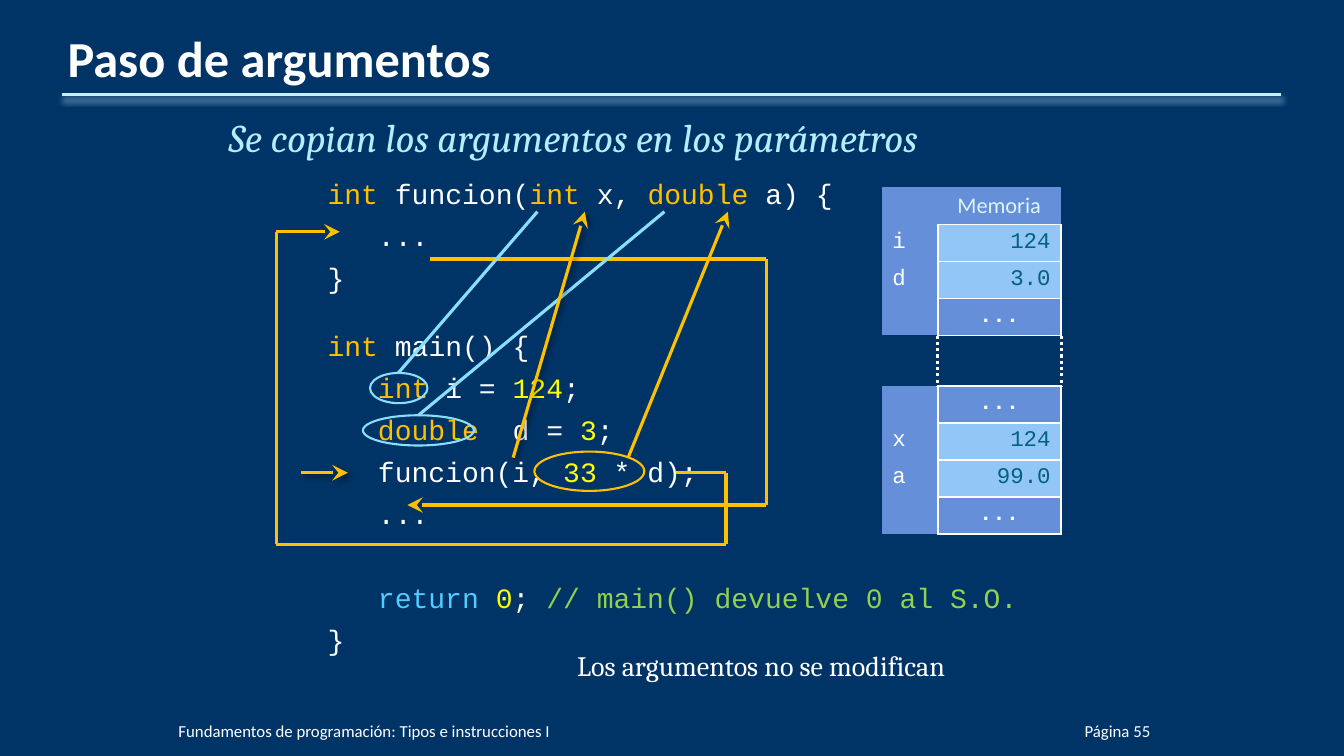
"""Builds the slide on how arguments are copied into parameters."""
from lxml import etree
from pptx import Presentation
from pptx.dml.color import RGBColor
from pptx.enum import dml, shapes, text
from pptx.oxml import ns
from pptx.util import Inches, Pt

NAVY = RGBColor(0x00, 0x33, 0x66)
WHITE = RGBColor(0xFF, 0xFF, 0xFF)
PALE = RGBColor(0xB5, 0xED, 0xFD)
RULE = RGBColor(0xC4, 0xEF, 0xFF)
GOLD = RGBColor(0xFF, 0xC0, 0x00)
YELLOW = RGBColor(0xFF, 0xFF, 0x00)
SKY = RGBColor(0x8A, 0xDF, 0xFF)
CYAN = RGBColor(0x4F, 0xCE, 0xFF)
GREEN = RGBColor(0x92, 0xD0, 0x50)
BLUE = RGBColor(0x65, 0x8F, 0xD8)
LIGHT = RGBColor(0x91, 0xC6, 0xF7)
TEAL = RGBColor(0x04, 0x61, 0x7B)
MIST = RGBColor(0xDB, 0xF5, 0xF9)
BLACK = RGBColor(0, 0, 0)

MONO, SANS, SERIF = "Courier New", "Calibri", "Cambria"
OUTER, INNER = 0.98, 1.48
CODE = [
    (OUTER, 6, [("int ", GOLD), ("funcion(", WHITE), ("int", GOLD), (" x, ", WHITE),
                ("double", GOLD), (" a) {", WHITE)]),
    (INNER, 6, [("...", WHITE)]),
    (OUTER, 24.4, [("}", WHITE)]),
    (OUTER, 6, [("int", GOLD), (" main() {", WHITE)]),
    (INNER, 6, [("int", GOLD), (" i = ", WHITE), ("124", YELLOW), (";", WHITE)]),
    (INNER, 6, [("double ", GOLD), (" d = ", WHITE), ("3", YELLOW), (";", WHITE)]),
    (INNER, 6, [("funcion(i, ", WHITE), ("33", YELLOW), (" * d);", WHITE)]),
    (INNER, 36.2, [("...", WHITE)]),
    (INNER, 6, [("return ", CYAN), ("0", YELLOW), ("; ", WHITE),
                ("// main() devuelve 0 al S.O.", GREEN)]),
    (OUTER, 6, [("}", WHITE)]),
]
MEMORY = [
    (1.86, [("", "Memoria"), ("i", "124"), ("d", "3.0"), ("", "...")]),
    (3.83, [("", "..."), ("x", "124"), ("a", "99.0"), ("", "...")]),
]
TABLE_LEFT, COLUMNS, ROW = 8.75, (0.55, 1.22), 0.25
ELLIPSES = [
    (5.3, 4.48, 1.09, 0.39, GOLD),
    (3.67, 3.7, 0.57, 0.3, SKY),
    (3.6, 4.12, 1.1, 0.3, SKY),
]
CALL_ROUTE = [(6.7, 4.69), (7.2, 4.69), (7.2, 5.4), (2.74, 5.4), (2.74, 2.3), (3.37, 2.3)]
RETURN_ROUTE = [(4.27, 2.57), (7.6, 2.57), (7.6, 5.01), (4.04, 5.01)]
TYPE_LINKS = [[(3.95, 3.7), (5.33, 2.1)], [(4.15, 4.12), (6.59, 2.1)]]
VALUE_ARROW = [(6.23, 4.54), (7.22, 2.1)]
SHADED_ARROWS = [[(2.99, 4.69), (3.45, 4.69)], [(5.09, 4.54), (5.8, 2.1)]]
ARROW_SHADOW = (BLACK, 40, 4, 3, 45)
RULE_SHADOW = (RULE, 48, 4.5, 3, 90)

deck = Presentation()
deck.slide_width, deck.slide_height = Inches(13.33), Inches(7.5)
slide = deck.slides.add_slide(deck.slide_layouts[6])
slide.background.fill.solid()
slide.background.fill.fore_color.rgb = NAVY


def child(parent, tag, **values):
    """Adds a DrawingML element with the given attributes."""
    element = etree.SubElement(parent, ns.qn("a:" + tag))
    for name, value in values.items():
        element.set(name, str(value))
    return element


def write(para, words, color, **font):
    """Adds a run in the given colour and font values."""
    span = para.add_run()
    span.text = words
    for name, value in font.items():
        setattr(span.font, name, value)
    span.font.color.rgb = color


def add_box(left, top, width, height, **frame):
    """Adds a text box and returns its frame."""
    box = slide.shapes.add_textbox(*map(Inches, (left, top, width, height)))
    for name, value in {"word_wrap": True, **frame}.items():
        setattr(box.text_frame, name, value)
    return box.text_frame


def add_line(start, end, color, head=False, shadow=None, dash=None):
    """Adds a straight line, with an arrowhead or a shadow if asked."""
    line = slide.shapes.add_connector(shapes.MSO_CONNECTOR.STRAIGHT,
                                      *map(Inches, (*start, *end)))
    line.line.color.rgb, line.line.width = color, Pt(2.25)
    if dash:
        line.line.dash_style = dash
    properties = line._element.spPr
    if head:
        child(properties.find(ns.qn("a:ln")), "tailEnd", type="stealth", w="lg", len="lg")
    effects = child(properties, "effectLst")
    if shadow:
        tint, alpha, blur, distance, angle = shadow
        outer = child(effects, "outerShdw", blurRad=Pt(blur), dist=Pt(distance),
                      dir=angle * 60000, rotWithShape=0)
        child(child(outer, "srgbClr", val=tint), "alpha", val=alpha * 1000)


def add_route(points, color, head=False, shadow=None):
    """Joins the points in order; only the last line has the arrowhead."""
    for index, (start, end) in enumerate(zip(points, points[1:])):
        add_line(start, end, color, head and index == len(points) - 2, shadow)


def fill_cell(cell, words, color, fill, align, bordered, **font):
    """Writes one memory cell."""
    cell.fill.solid()
    cell.fill.fore_color.rgb = fill
    cell.margin_top = cell.margin_bottom = Inches(0.05 if words else 0)
    para = cell.text_frame.paragraphs[0]
    para.alignment = align
    if words:
        write(para, words, color, size=Pt(16), **font)
    properties = cell._tc.get_or_add_tcPr()
    for index, side in enumerate(("lnL", "lnR", "lnT", "lnB")):
        edge = etree.Element(ns.qn("a:" + side), w=str(Pt(1.5)))
        if bordered:
            child(child(edge, "solidFill"), "srgbClr", val=WHITE)
        else:
            child(edge, "noFill")
        properties.insert(index, edge)


def add_memory(top, rows):
    """Adds a memory table of names and values."""
    table = slide.shapes.add_table(len(rows), 2, *map(
        Inches, (TABLE_LEFT, top, sum(COLUMNS), ROW * len(rows)))).table
    table.first_row = table.horz_banding = False
    for column, width in zip(table.columns, COLUMNS):
        column.width = Inches(width)
    for index, (name, value) in enumerate(rows):
        fill_cell(table.cell(index, 0), name, WHITE, BLUE, text.PP_ALIGN.LEFT, False, name=MONO)
        cell = table.cell(index, 1)
        if value == "Memoria":
            fill_cell(cell, value, MIST, BLUE, text.PP_ALIGN.CENTER, False, name=SANS)
        elif value == "...":
            fill_cell(cell, value, WHITE, BLUE, text.PP_ALIGN.CENTER, True, name=MONO, bold=True)
        else:
            fill_cell(cell, value, TEAL, LIGHT, text.PP_ALIGN.RIGHT, True, name=MONO)


add_line((0.62, 0.94), (12.71, 0.94), RULE, shadow=RULE_SHADOW)
title = add_box(0.67, 0.37, 12, 0.55, margin_left=0, margin_right=0,
                vertical_anchor=text.MSO_ANCHOR.BOTTOM)
write(title.paragraphs[0], "Paso de argumentos", WHITE, size=Pt(36), name=SANS, bold=True)

body = add_box(2.17, 1.07, 9.15, 5.59)
lead = body.paragraphs[0]
lead.space_after = Pt(12)
write(lead, "Se copian los argumentos en los parámetros", PALE, size=Pt(28), name=SERIF, italic=True)
for indent, gap, spans in CODE:
    para = body.add_paragraph()
    para.space_after = Pt(gap)
    para._p.get_or_add_pPr().set("marL", str(Inches(indent)))
    for words, color in spans:
        write(para, words, color, size=Pt(20), name=MONO)

for left, width, words, align in (
        (1.77, 8.13, "Fundamentos de programación: Tipos e instrucciones I", text.PP_ALIGN.LEFT),
        (10.1, 1.31, "Página 55", text.PP_ALIGN.RIGHT)):
    footer = add_box(left, 6.95, width, 0.4, margin_left=0, margin_right=0, margin_top=0,
                     margin_bottom=0, vertical_anchor=text.MSO_ANCHOR.BOTTOM)
    footer.paragraphs[0].alignment = align
    write(footer.paragraphs[0], words, WHITE, size=Pt(12), name=SANS)

for top, rows in MEMORY:
    add_memory(top, rows)
for x in (9.3, 10.53):
    add_line((x, 3.33), (x, 3.83), WHITE, dash=dml.MSO_LINE.ROUND_DOT)

for *place, color in ELLIPSES:
    ring = slide.shapes.add_shape(shapes.MSO_SHAPE.OVAL, *map(Inches, place))
    ring.shadow.inherit = False
    ring.fill.background()
    ring.line.color.rgb, ring.line.width = color, Pt(1.5)
for route in (VALUE_ARROW, CALL_ROUTE, RETURN_ROUTE):
    add_route(route, GOLD, head=True)
for route in TYPE_LINKS:
    add_route(route, SKY)
for route in SHADED_ARROWS:
    add_route(route, GOLD, head=True, shadow=ARROW_SHADOW)

note = add_box(5.52, 6.38, 4.06, 0.44, word_wrap=False)
note.paragraphs[0].alignment = text.PP_ALIGN.CENTER
write(note.paragraphs[0], "Los argumentos no se modifican", WHITE, size=Pt(20), name=SERIF)
deck.save("out.pptx")
